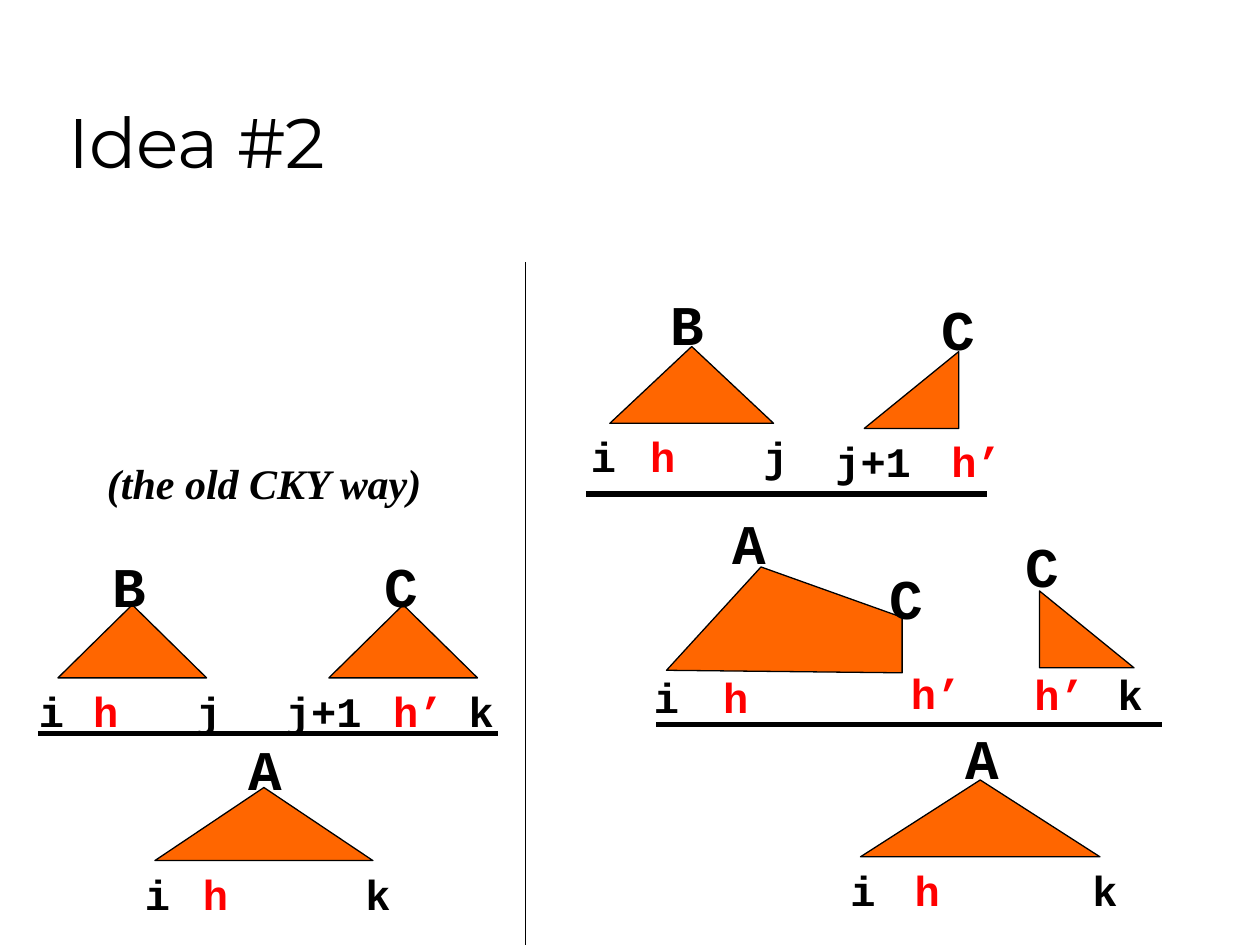
from dataclasses import dataclass

from pptx import Presentation
from pptx import util as u
from pptx.dml.color import RGBColor
from pptx.enum import shapes, text
from pptx.oxml.ns import qn
from lxml import etree

BLACK = RGBColor(0x00, 0x00, 0x00)
RED = RGBColor(0xFF, 0x00, 0x00)
ORANGE = RGBColor(0xFF, 0x66, 0x00)
PEAK = shapes.MSO_SHAPE.ISOSCELES_TRIANGLE
HALF = shapes.MSO_SHAPE.RIGHT_TRIANGLE


@dataclass
class Mark:
    """A letter above or below a span."""
    word: str
    left: float
    top: float
    size: int = 24


@dataclass
class Span:
    """A triangle with its head letter and the indices at its foot."""
    box: tuple[float, float, float, float]
    head: Mark
    foot: float
    feet: dict[str, float]
    kind: shapes.MSO_SHAPE = PEAK
    flip: bool = False


@dataclass
class Rule:
    start: tuple[float, float]
    end: tuple[float, float]
    width: float = 3


def top_mark(word: str, left: float, top: float) -> Mark:
    return Mark(word, left, top, 32)


SPANS = [
    # Old way: B and C give A
    Span((0.46, 4.8, 1.18, 0.58), top_mark("B", 0.79, 4.33),
         5.39, {"i": 0.21, "h": 0.64, "j": 1.46}),
    Span((2.61, 4.8, 1.18, 0.58), top_mark("C", 2.95, 4.33),
         5.39, {"j+1": 2.17, "h’": 3.02, "k": 3.62}),
    Span((1.23, 6.25, 1.73, 0.58), top_mark("A", 1.87, 5.78),
         6.84, {"i": 1.05, "h": 1.51, "k": 2.8}),
    # New way: B and half of C, the other half of C, then A
    Span((4.84, 2.75, 1.3, 0.61), top_mark("B", 5.22, 2.25),
         3.37, {"i": 4.59, "h": 5.06, "j": 5.96}),
    Span((6.86, 2.79, 0.75, 0.61), top_mark("C", 7.37, 2.29),
         3.41, {"j+1": 6.53, "h’": 7.45}, HALF, True),
    Span((8.25, 4.69, 0.75, 0.61), top_mark("C", 8.04, 4.17),
         5.26, {"h’": 8.11, "k": 8.77}, HALF),
    Span((6.83, 6.19, 1.9, 0.61), top_mark("A", 7.56, 5.69),
         6.81, {"i": 6.65, "h": 7.16, "k": 8.57}),
]

# The partly built A that still lacks the right half of C
TRAP = [(5.29, 5.32), (6.04, 4.5), (7.16, 4.9), (7.16, 5.34)]
TRAP_MARKS = [
    top_mark("A", 5.71, 3.99), top_mark("C", 6.96, 4.42),
    Mark("i", 5.09, 5.28), Mark("h", 5.64, 5.28), Mark("h’", 7.13, 5.25),
]

RULES = [
    Rule((4.17, 2.08), (4.17, 7.5), 0.75),
    Rule((0.3, 5.82), (3.95, 5.82)),
    Rule((4.65, 3.92), (7.83, 3.92)),
    Rule((5.21, 5.75), (9.22, 5.75)),
]


def add_run(para, word: str, font: str, size: int, color: RGBColor,
            bold: bool = False, slant: bool = False) -> None:
    run = para.add_run()
    run.text = word
    run.font.name = font
    run.font.size = u.Pt(size)
    run.font.color.rgb = color
    run.font.bold = bold
    run.font.italic = slant


def add_box(tree, left: float, top: float, width: float, height: float):
    """Add a text box that hugs its text; return its first paragraph."""
    box = tree.add_textbox(*map(u.Inches, (left, top, width, height)))
    frame = box.text_frame
    frame.word_wrap = False
    frame.auto_size = text.MSO_AUTO_SIZE.SHAPE_TO_FIT_TEXT
    return frame.paragraphs[0]


def add_mark(tree, mark: Mark) -> None:
    # Courier is 0.6 em wide; side insets take 0.2 inches
    width = 0.2 + len(mark.word) * 0.6 * mark.size / 72
    height = 0.64 if mark.size == 32 else 0.5
    para = add_box(tree, mark.left, mark.top, width, height)
    para.alignment = text.PP_ALIGN.CENTER
    color = RED if mark.word.startswith("h") else BLACK
    add_run(para, mark.word, "Courier New", mark.size, color, bold=True)


def paint(shape) -> None:
    shape.shadow.inherit = False
    shape.fill.solid()
    shape.fill.fore_color.rgb = ORANGE
    shape.line.color.rgb = BLACK
    shape.line.width = u.Pt(0.75)


def add_span(slide, span: Span) -> None:
    tree = slide.shapes.add_group_shape().shapes
    shape = tree.add_shape(span.kind, *map(u.Inches, span.box))
    paint(shape)
    if span.flip:
        shape.element.spPr.find(qn("a:xfrm")).set("flipH", "1")
    add_mark(tree, span.head)
    for word, left in span.feet.items():
        add_mark(tree, Mark(word, left, span.foot))


def add_trap(slide) -> None:
    tree = slide.shapes.add_group_shape().shapes
    first, *rest = [(u.Inches(x), u.Inches(y)) for x, y in TRAP]
    path = tree.build_freeform(*first)
    path.add_line_segments(rest, close=True)
    paint(path.convert_to_shape())
    for mark in TRAP_MARKS:
        add_mark(tree, mark)


def add_rule(slide, rule: Rule) -> None:
    ends = map(u.Inches, (*rule.start, *rule.end))
    line = slide.shapes.add_connector(shapes.MSO_CONNECTOR.STRAIGHT, *ends)
    line.line.color.rgb = BLACK
    line.line.width = u.Pt(rule.width)
    etree.SubElement(line.element.spPr, qn("a:effectLst"))


def add_title(slide, words: str) -> None:
    title = slide.shapes.title
    title.left, title.top = u.Inches(0.44), u.Inches(0.25)
    title.width, title.height = u.Inches(8.5), u.Inches(1.25)
    frame = title.text_frame
    frame.vertical_anchor = text.MSO_ANCHOR.BOTTOM
    para = frame.paragraphs[0]
    para.alignment = text.PP_ALIGN.LEFT
    add_run(para, words, "Montserrat", 40, BLACK)


def main() -> None:
    deck = Presentation()
    deck.slide_width, deck.slide_height = u.Inches(10), u.Inches(7.5)
    slide = deck.slides.add_slide(deck.slide_layouts[5])
    add_title(slide, "Idea #2")

    # Rules between the steps, then the spans
    for rule in RULES:
        add_rule(slide, rule)
    for span in SPANS:
        add_span(slide, span)
    add_trap(slide)

    # Caption of the left half
    para = add_box(slide.shapes, 0.75, 3.58, 2.71, 0.5)
    add_run(para, "(the old CKY way)", "Times New Roman", 24, BLACK,
            bold=True, slant=True)
    deck.save("out.pptx")


if __name__ == "__main__":
    main()
